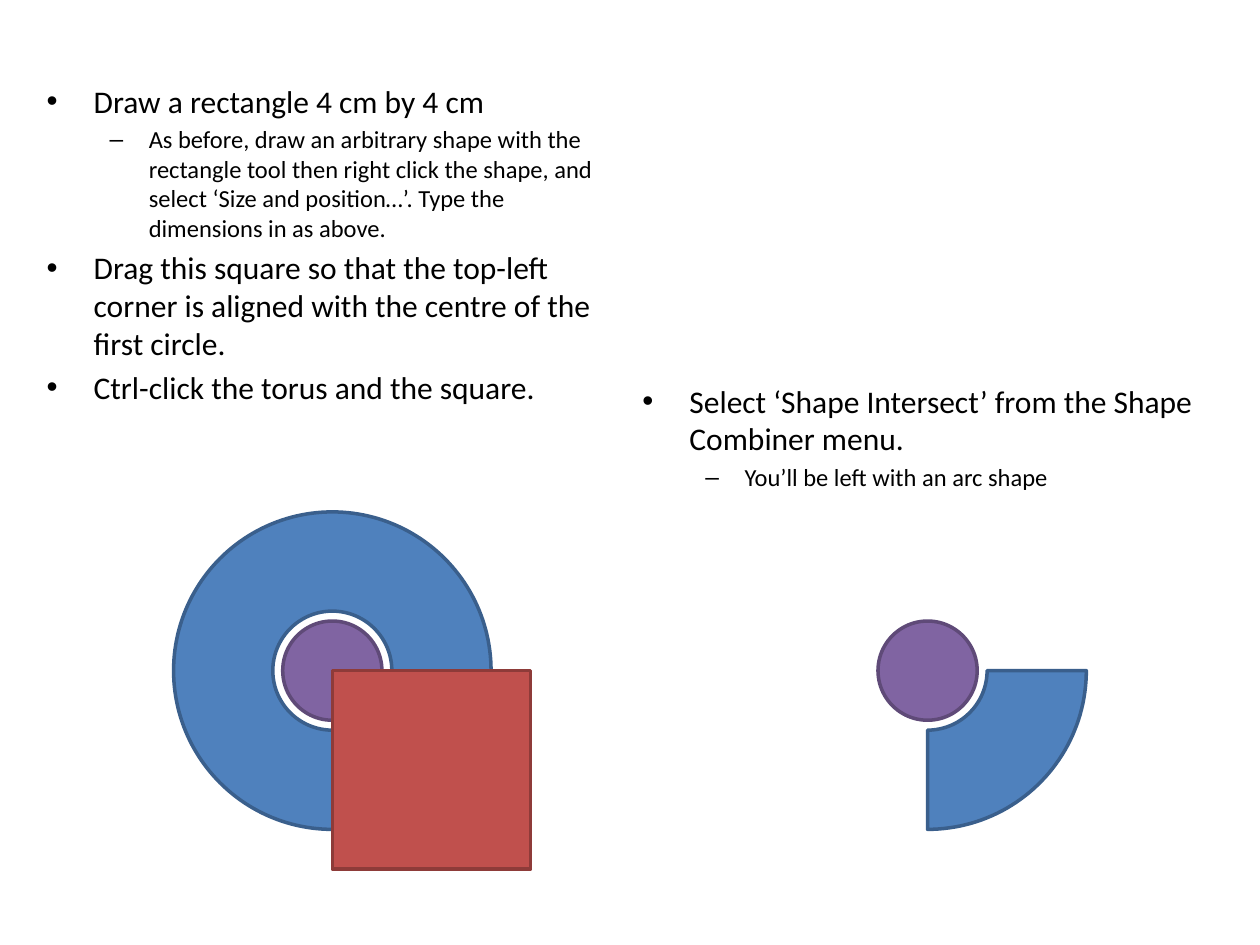
"""Build a slide on intersecting a torus with a square to make an arc."""
import math
from dataclasses import dataclass

from lxml import etree
from pptx import Presentation
from pptx import util as u
from pptx.dml.color import RGBColor
from pptx.enum import shapes, text
from pptx.oxml.ns import qn


@dataclass(frozen=True)
class Theme:
    font: str = "Calibri"
    ink: str = "000000"
    blue: tuple = ("4F81BD", "3A5F8C")
    red: tuple = ("C0504D", "8E3B39")
    purple: tuple = ("8064A2", "5F4A78")
    line_width: float = 2
    sizes: tuple = (18, 14)
    bullets: tuple = ("•", "–")
    margins: tuple = (0.95, 2.06)
    hanging: tuple = (0.95, 0.79)
    space_before: float = 0.2


class SlideBuilder:
    def __init__(self, page, theme):
        self.page = page
        self.theme = theme

    def paint(self, shape, colours):
        fill, line = colours
        shape.shadow.inherit = False
        shape.fill.solid()
        shape.fill.fore_color.rgb = RGBColor.from_string(fill)
        shape.line.color.rgb = RGBColor.from_string(line)
        shape.line.width = u.Pt(self.theme.line_width)

    def preset(self, kind, left, top, size, colours):
        shape = self.page.shapes.add_shape(
            kind, u.Cm(left), u.Cm(top), u.Cm(size), u.Cm(size))
        self.paint(shape, colours)
        return shape

    def circle(self, x, y, radius, colours):
        self.preset(shapes.MSO_SHAPE.OVAL, x - radius, y - radius, 2 * radius, colours)

    def torus(self, x, y, inner, outer, colours):
        ring = self.preset(shapes.MSO_SHAPE.DONUT, x - outer, y - outer, 2 * outer, colours)
        ring.adjustments[0] = (outer - inner) / (2 * outer)

    def square(self, left, top, side, colours):
        self.preset(shapes.MSO_SHAPE.RECTANGLE, left, top, side, colours)

    def quarter_ring(self, x, y, inner, outer, colours):
        def curve(radius, degrees):
            return [(u.Cm(x + radius * math.cos(math.radians(d))),
                     u.Cm(y + radius * math.sin(math.radians(d)))) for d in degrees]

        points = curve(outer, range(0, 91, 2)) + curve(inner, range(90, -1, -2))
        outline = self.page.shapes.build_freeform(*points[0])
        outline.add_line_segments(points[1:], close=True)
        self.paint(outline.convert_to_shape(), colours)

    def bullet_list(self, left, top, width, height, items):
        box = self.page.shapes.add_textbox(*map(u.Cm, (left, top, width, height)))
        frame = box.text_frame
        frame.word_wrap = True
        frame.auto_size = text.MSO_AUTO_SIZE.NONE
        for index, (level, words) in enumerate(items):
            para = frame.add_paragraph() if index else frame.paragraphs[0]
            self.bullet(para, level, words)

    def bullet(self, para, level, words):
        theme = self.theme
        size = theme.sizes[level]
        para.level = level
        para.space_before = u.Pt(size * theme.space_before)
        props = para._p.get_or_add_pPr()
        props.set("marL", str(u.Cm(theme.margins[level])))
        props.set("indent", str(-u.Cm(theme.hanging[level])))
        etree.SubElement(props, qn("a:buFont"), typeface="Arial")
        etree.SubElement(props, qn("a:buChar"), char=theme.bullets[level])
        span = para.add_run()
        span.text = words
        span.font.name = theme.font
        span.font.size = u.Pt(size)
        span.font.color.rgb = RGBColor.from_string(theme.ink)


def main():
    deck = Presentation()
    deck.slide_width, deck.slide_height = u.Cm(25.4), u.Cm(19.05)
    theme = Theme()
    builder = SlideBuilder(deck.slides.add_slide(deck.slide_layouts[6]), theme)

    before_x, after_x, centre_y = 6.7, 18.7, 13.52
    disc, inner, outer = 1, 1.2, 3.2
    builder.circle(before_x, centre_y, disc, theme.purple)
    builder.torus(before_x, centre_y, inner, outer, theme.blue)
    builder.square(before_x, centre_y, 4, theme.red)
    builder.circle(after_x, centre_y, disc, theme.purple)
    builder.quarter_ring(after_x, centre_y, inner, outer, theme.blue)

    builder.bullet_list(0.69, 1.52, 12.01, 6.81, [
        (0, "Draw a rectangle 4 cm by 4 cm"),
        (1, "As before, draw an arbitrary shape with the rectangle tool then right click "
            "the shape, and select ‘Size and position…’. Type the dimensions in as above."),
        (0, "Drag this square so that the top-left corner is aligned with the centre "
            "of the first circle."),
        (0, "Ctrl-click the torus and the square."),
    ])
    builder.bullet_list(12.7, 7.57, 12.01, 3.94, [
        (0, "Select ‘Shape Intersect’ from the Shape Combiner menu."),
        (1, "You’ll be left with an arc shape"),
    ])
    deck.save("out.pptx")


if __name__ == "__main__":
    main()
